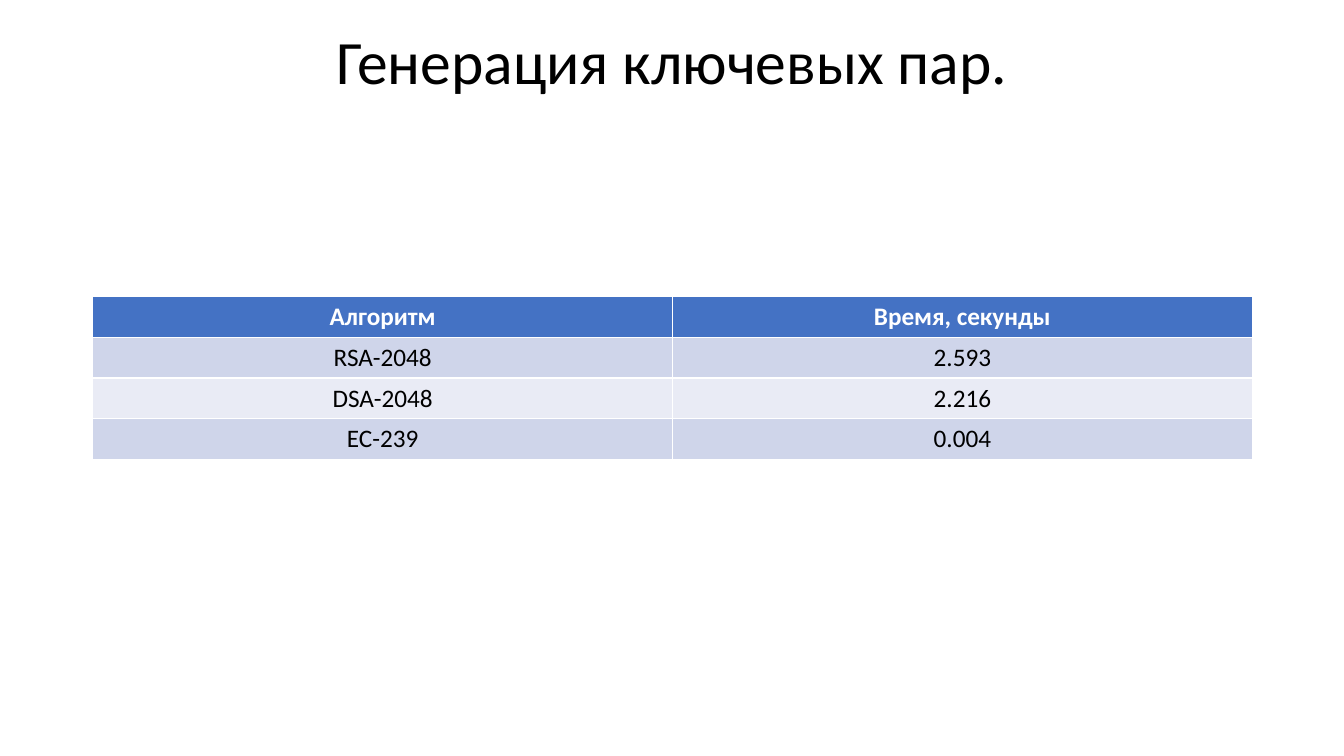
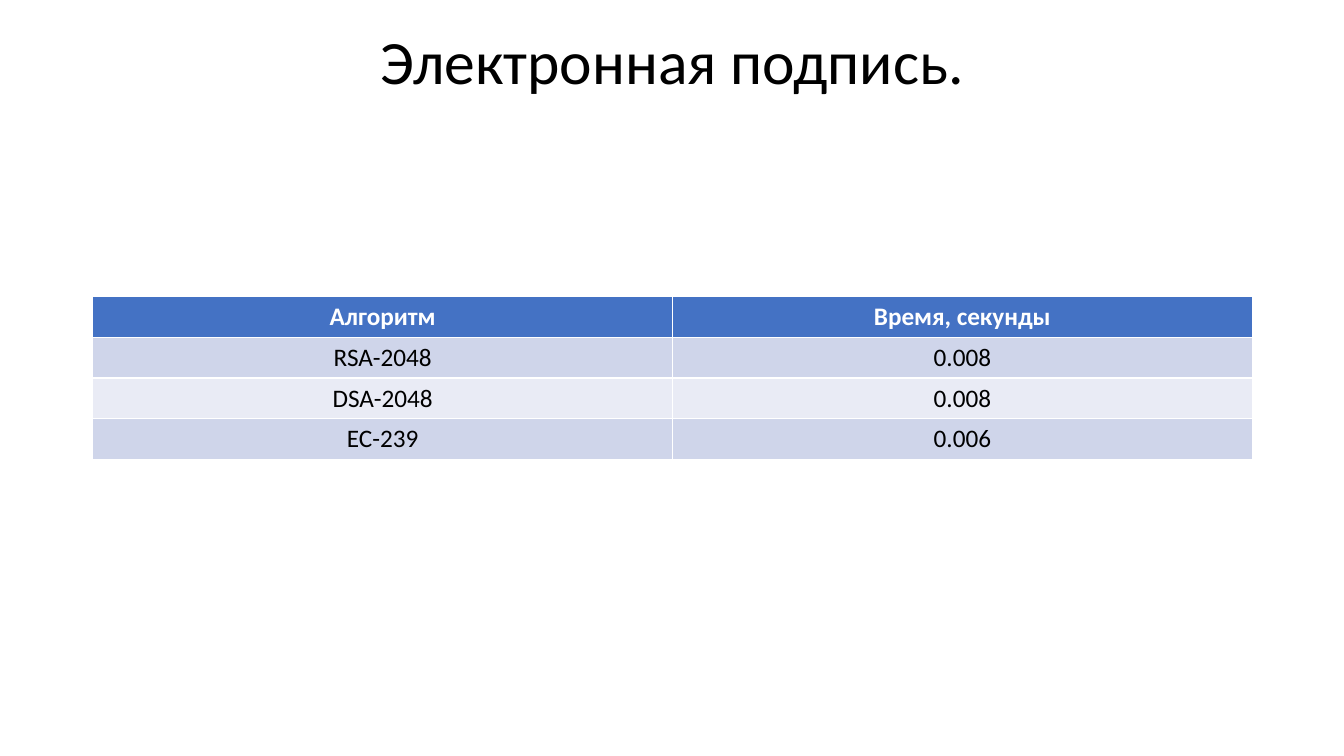
from pptx import Presentation
from pptx import util as u
from pptx.dml.color import RGBColor
from pptx.enum import text

BLACK = RGBColor(0x00, 0x00, 0x00)
WHITE = RGBColor(0xFF, 0xFF, 0xFF)
HEADER_BLUE = RGBColor(0x44, 0x72, 0xC4)
BANDS = [RGBColor(0xE9, 0xEB, 0xF5), RGBColor(0xCF, 0xD5, 0xEA)]
FONT = "Calibri"
LEFT, WIDTH = u.Inches(0.92), u.Inches(11.5)

HEADER = ("Алгоритм", "Время, секунды")
ALGORITHMS = ("RSA-2048", "DSA-2048", "EC-239")
TIMINGS = {
    "Генерация ключевых пар.": ("2.593", "2.216", "0.004"),
    "Электронная подпись.": ("0.008", "0.008", "0.006"),
}


def style_paragraph(paragraph, size, color, bold=False):
    paragraph.alignment = text.PP_ALIGN.CENTER
    paragraph.font.name = FONT
    paragraph.font.size = u.Pt(size)
    paragraph.font.bold = bold
    paragraph.font.color.rgb = color


presentation = Presentation()
presentation.slide_width = u.Inches(13.33)
presentation.slide_height = u.Inches(7.5)

for title, times in TIMINGS.items():
    slide = presentation.slides.add_slide(presentation.slide_layouts[6])

    title_box = slide.shapes.add_textbox(LEFT, u.Inches(0.16), WIDTH, u.Inches(0.96))
    title_box.text_frame.word_wrap = True
    title_box.text_frame.vertical_anchor = text.MSO_ANCHOR.MIDDLE
    paragraph = title_box.text_frame.paragraphs[0]
    paragraph.text = title
    paragraph.line_spacing = 0.9
    style_paragraph(paragraph, 44, BLACK)

    rows = [HEADER, *zip(ALGORITHMS, times)]
    table = slide.shapes.add_table(
        len(rows), len(HEADER), LEFT, u.Inches(2.94), WIDTH, u.Inches(1.62)
    ).table
    for row_index, row in enumerate(rows):
        is_header = row_index == 0
        for column_index, value in enumerate(row):
            cell = table.cell(row_index, column_index)
            cell.text = value
            cell.fill.solid()
            cell.fill.fore_color.rgb = HEADER_BLUE if is_header else BANDS[row_index % 2]
            style_paragraph(
                cell.text_frame.paragraphs[0], 18, WHITE if is_header else BLACK, is_header
            )

presentation.save("out.pptx")
